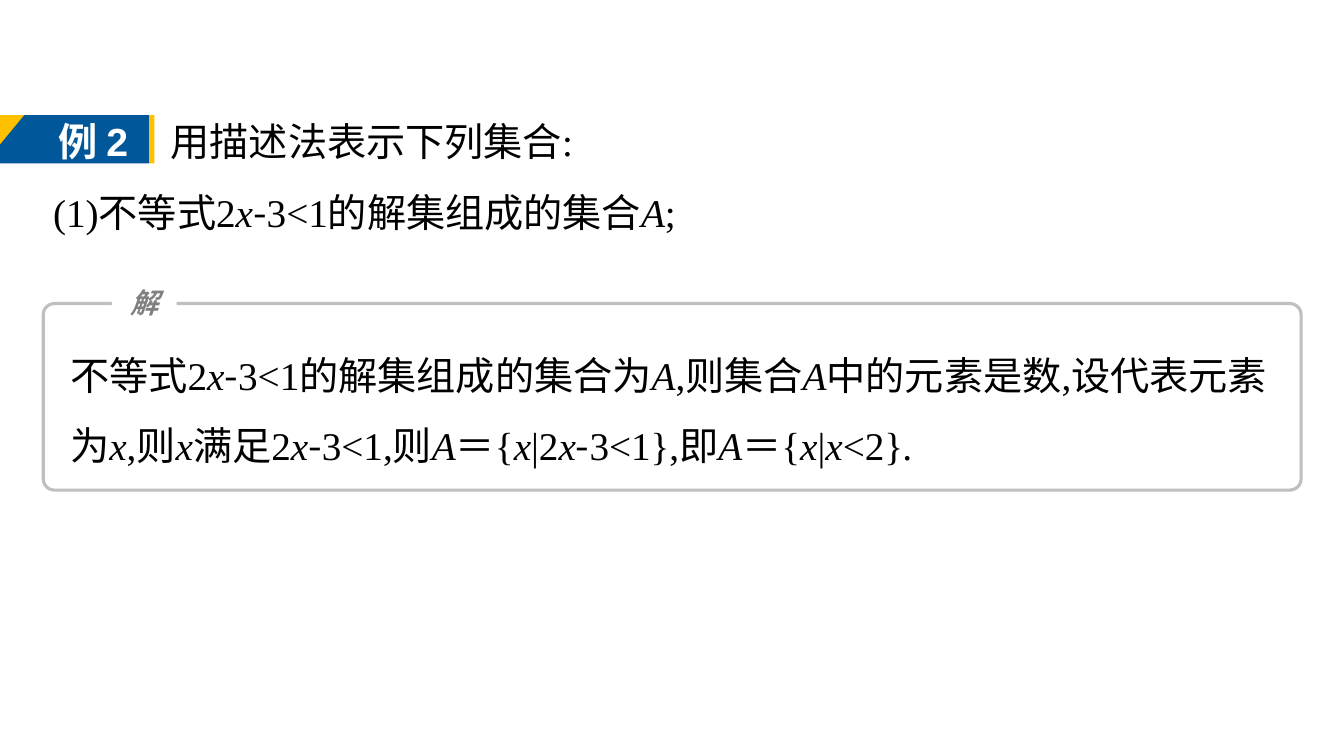
import itertools

import pptx
import pptx.dml.color
import pptx.enum.shapes
import pptx.enum.text
import pptx.oxml.ns
import pptx.util
from lxml import etree

Cm = pptx.util.Cm
RGBColor = pptx.dml.color.RGBColor
MSO_SHAPE = pptx.enum.shapes.MSO_SHAPE

# Content: letters between asterisks are italic
QUESTION = ["用描述法表示下列集合:", "(1)不等式2*x*-3<1的解集组成的集合*A*;"]
SOLUTION = [
    "不等式2*x*-3<1的解集组成的集合为*A*,则集合*A*中的元素是数,设代表元素为"
    "*x*,则*x*满足2*x*-3<1,则*A*＝{*x*|2*x*-3<1},即*A*＝{*x*|*x*<2}*.*"
]
EXAMPLE_LABEL = [("例 ", "Times New Roman"), ("2", "Arial")]
SOLUTION_LABEL = "解"

# Fonts and colours
SERIF, SANS = "Times New Roman", "Noto Sans CJK SC"
BLACK = RGBColor(0x00, 0x00, 0x00)
WHITE = RGBColor(0xFF, 0xFF, 0xFF)
BLUE = RGBColor(0x00, 0x58, 0x9A)
YELLOW = RGBColor(0xFF, 0xC0, 0x00)
SILVER = RGBColor(0xBF, 0xBF, 0xBF)
GREY = RGBColor(0x80, 0x80, 0x80)

# Layout in centimetres
MARGIN, PANEL_WIDTH = 1.09, 31.7
TAG_TOP, TAG_WIDTH, TAG_HEIGHT = 2.9, 3.76, 1.22
QUESTION_INDENT = 2.96

prs = pptx.Presentation()
prs.slide_width, prs.slide_height = Cm(33.87), Cm(19.05)
slide = prs.slides.add_slide(prs.slide_layouts[6])


def add_block(kind, left, top, width, height, fill=None, line=None):
    block = slide.shapes.add_shape(kind, Cm(left), Cm(top), Cm(width), Cm(height))
    block.shadow.inherit = False
    if fill is None:
        block.fill.background()
    else:
        block.fill.solid()
        block.fill.fore_color.rgb = fill
    if line is None:
        block.line.fill.background()
    else:
        block.line.color.rgb = line
        block.line.width = pptx.util.Pt(2.25)
    return block


def add_run(paragraph, text, color, **formats):
    run = paragraph.add_run()
    run.text = text
    run.font.color.rgb = color
    for key, value in ({"size": pptx.util.Pt(28), "name": SERIF} | formats).items():
        setattr(run.font, key, value)
    east_asian = etree.SubElement(run.font._element, pptx.oxml.ns.qn("a:ea"))
    east_asian.set("typeface", SANS)


def add_text_frame(left, top, width, height):
    box = slide.shapes.add_textbox(Cm(left), Cm(top), Cm(width), Cm(height))
    box.text_frame.word_wrap = True
    box.text_frame.auto_size = pptx.enum.text.MSO_AUTO_SIZE.SHAPE_TO_FIT_TEXT
    return box.text_frame


def add_math_text(lines, left, top, width, height):
    frame = add_text_frame(left, top, width, height)
    for row, line in enumerate(lines):
        paragraph = frame.add_paragraph() if row else frame.paragraphs[0]
        paragraph.line_spacing = 1.5
        for number, part in enumerate(line.split("*")):
            # Minus and equals signs take the sans font
            for is_sign, chars in itertools.groupby(part, lambda c: c in "-＝"):
                add_run(paragraph, "".join(chars), BLACK,
                        name=SANS if is_sign else SERIF, italic=number % 2 == 1)
    return frame


# Question, its first line indented past the example tag
question = add_math_text(QUESTION, MARGIN, 2.24, PANEL_WIDTH, 3.63)
first_line = question.paragraphs[0]._p.get_or_add_pPr()
first_line.set("marL", "0")
first_line.set("indent", str(Cm(QUESTION_INDENT)))

# Example tag
add_block(MSO_SHAPE.RECTANGLE, 0, TAG_TOP, TAG_WIDTH, TAG_HEIGHT, fill=BLUE)
corner = add_block(MSO_SHAPE.RIGHT_TRIANGLE, 0, TAG_TOP, 0.61, 0.74, fill=YELLOW)
corner._element.spPr.find(pptx.oxml.ns.qn("a:xfrm")).set("flipV", "1")
add_block(MSO_SHAPE.RECTANGLE, TAG_WIDTH, TAG_TOP, 0.13, TAG_HEIGHT, fill=YELLOW)
example = add_text_frame(1.22, 2.82, 2.54, 1.45)
for text, font_name in EXAMPLE_LABEL:
    add_run(example.paragraphs[0], text, WHITE, name=font_name, bold=True)

# Solution panel with its label set into the top edge
panel = add_block(MSO_SHAPE.ROUNDED_RECTANGLE, MARGIN, 7.65, PANEL_WIDTH, 4.7, line=SILVER)
panel.adjustments[0] = 0.06
label = add_block(MSO_SHAPE.RECTANGLE, 2.82, 7.32, 1.63, 0.61, fill=WHITE).text_frame
for side in ("left", "top", "right", "bottom"):
    setattr(label, f"margin_{side}", 0)
label.vertical_anchor = pptx.enum.text.MSO_ANCHOR.MIDDLE
label.paragraphs[0].alignment = pptx.enum.text.PP_ALIGN.CENTER
add_run(label.paragraphs[0], SOLUTION_LABEL, GREY, name=SANS,
        size=pptx.util.Pt(20), bold=True, italic=True)
add_math_text(SOLUTION, 1.52, 8.13, 30.81, 3.63)

prs.save("out.pptx")
